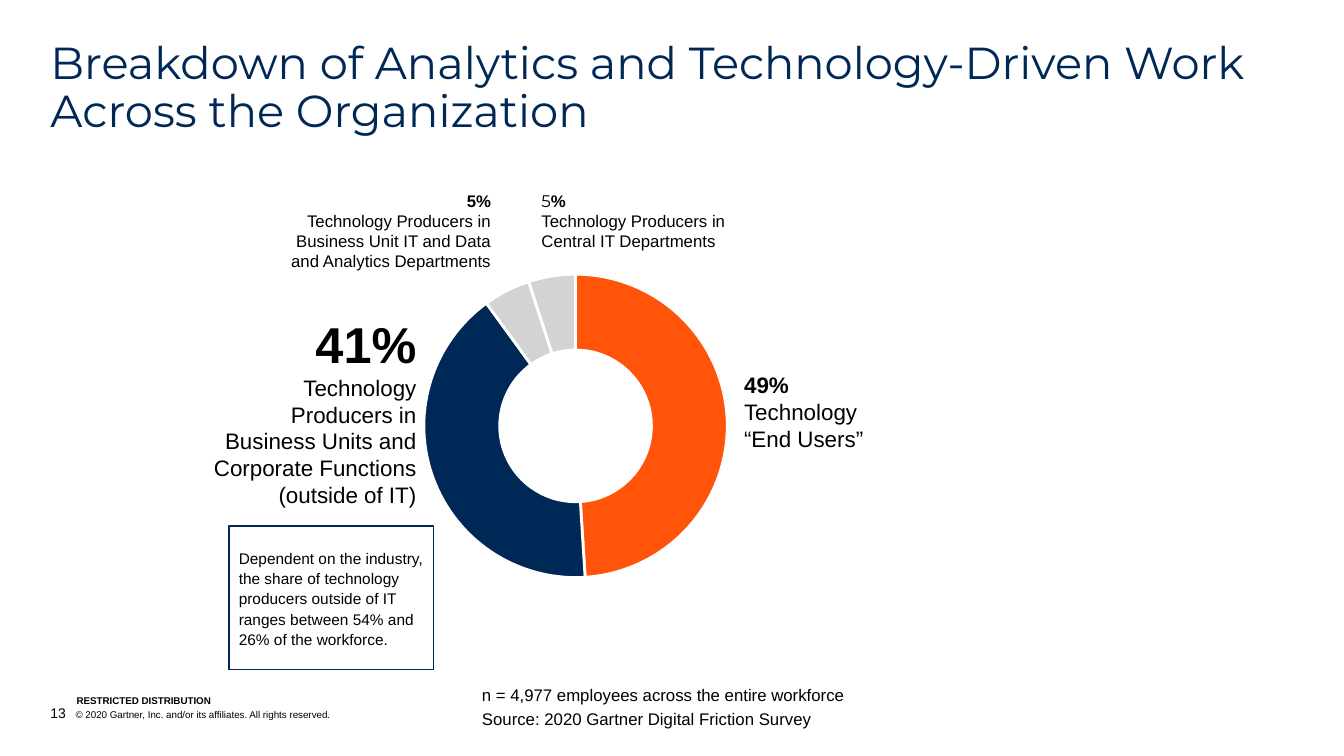
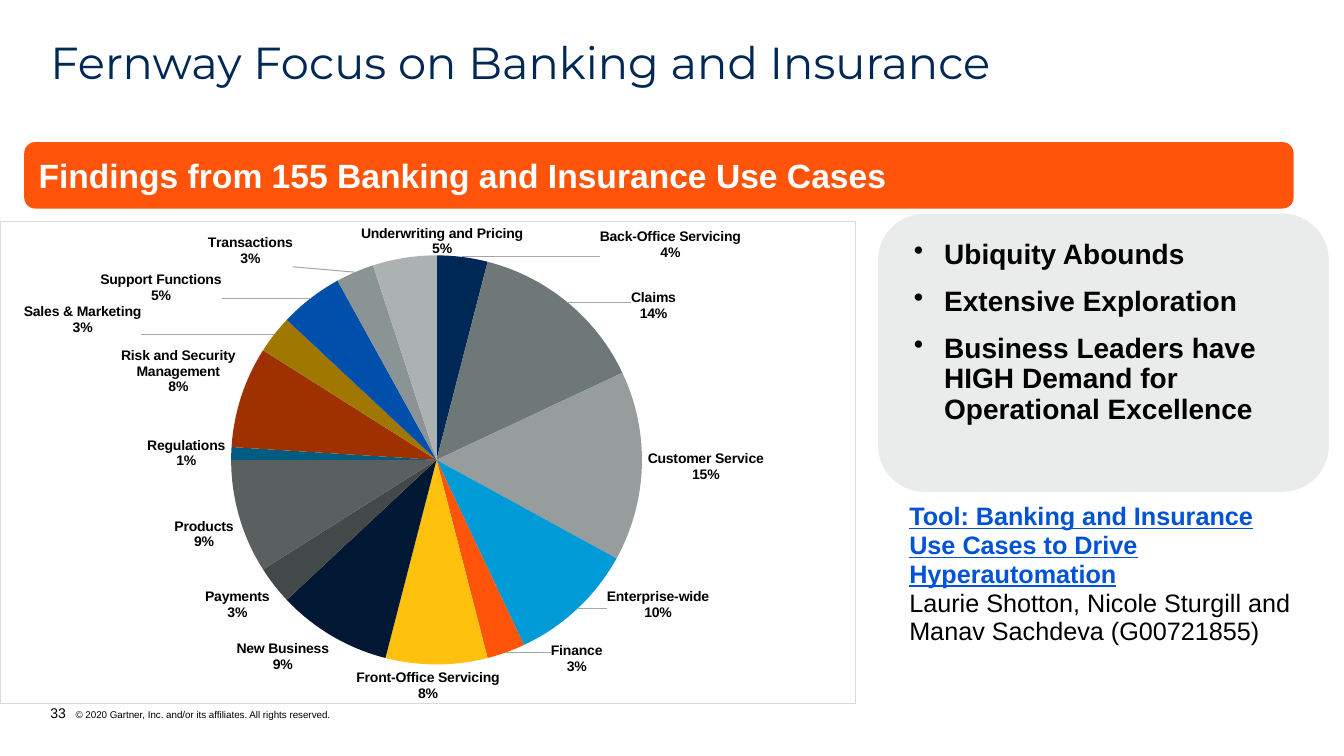
from copy import deepcopy

from lxml import etree
from pptx import Presentation
from pptx.chart.data import CategoryChartData
from pptx.dml.color import RGBColor
from pptx.enum.chart import XL_CHART_TYPE, XL_LABEL_POSITION
from pptx.enum.shapes import MSO_SHAPE
from pptx.enum.text import MSO_ANCHOR, PP_ALIGN
from pptx.oxml import parse_xml
from pptx.oxml.ns import nsdecls, qn
from pptx.util import Inches, Pt

NAVY = RGBColor(0x00, 0x28, 0x56)
ORANGE = RGBColor(0xFF, 0x54, 0x0A)
BLACK = RGBColor(0x00, 0x00, 0x00)
WHITE = RGBColor(0xFF, 0xFF, 0xFF)
PANEL_GRAY = RGBColor(0xEA, 0xEB, 0xEB)
LIGHT_GRAY = RGBColor(0xD3, 0xD3, 0xD3)
LINK_BLUE = RGBColor(0x00, 0x52, 0xD6)

BODY_FONT, TITLE_FONT, CHART_FONT = "Arial", "Montserrat", "Lato"
TOP, MIDDLE, BOTTOM = MSO_ANCHOR.TOP, MSO_ANCHOR.MIDDLE, MSO_ANCHOR.BOTTOM
RIGHT = PP_ALIGN.RIGHT
RECT, ROUNDED = MSO_SHAPE.RECTANGLE, MSO_SHAPE.ROUNDED_RECTANGLE
DOUGHNUT, PIE = XL_CHART_TYPE.DOUGHNUT, XL_CHART_TYPE.PIE
OUTSIDE_END = XL_LABEL_POSITION.OUTSIDE_END

NO_INSETS = (0, 0, 0, 0)
CALLOUT_INSETS = (0, 0.1, 0, 0.1)
LINE_BREAK = "\n"

WORKFORCE = [("1", 49, ORANGE), ("2", 41, NAVY), ("3", 5, LIGHT_GRAY), ("4", 5, LIGHT_GRAY)]

USE_CASES = [
    ("Back-Office Servicing", 4, NAVY),
    ("Claims", 14, RGBColor(0x6F, 0x78, 0x78)),
    ("Customer Service", 15, RGBColor(0x97, 0x9D, 0x9D)),
    ("Enterprise-wide", 10, RGBColor(0x00, 0x9A, 0xD7)),
    ("Finance", 3, ORANGE),
    ("Front-Office Servicing", 8, RGBColor(0xFE, 0xC1, 0x0D)),
    ("New Business", 9, RGBColor(0x00, 0x18, 0x34)),
    ("Payments", 3, RGBColor(0x43, 0x48, 0x48)),
    ("Products", 9, RGBColor(0x5A, 0x5F, 0x5F)),
    ("Regulations", 1, RGBColor(0x00, 0x5C, 0x81)),
    ("Risk and Security Management", 8, RGBColor(0x9F, 0x30, 0x00)),
    ("Sales & Marketing", 3, RGBColor(0xA0, 0x77, 0x01)),
    ("Support Functions", 5, RGBColor(0x00, 0x4F, 0xAB)),
    ("Transactions", 3, RGBColor(0x8B, 0x94, 0x94)),
    ("Underwriting and Pricing", 5, RGBColor(0xAC, 0xB1, 0xB1)),
]

# Shift of a label from its usual place, as fractions of the chart's size
LABEL_SHIFTS = {
    "Back-Office Servicing": (0.16, 0.02),
    "Claims": (0.07, 0.05),
    "Enterprise-wide": (0.03, -0.05),
    "Finance": (0.05, -0.03),
    "Front-Office Servicing": (-0.01, 0),
    "Sales & Marketing": (-0.15, 0.01),
    "Support Functions": (-0.1, 0.02),
    "Transactions": (-0.07, 0),
    "Underwriting and Pricing": (0.14, 0.01),
}


def apply_formats(target, formats):
    for name, value in formats.items():
        setattr(target, name, value)


def style_font(font, size, color=BLACK, name=BODY_FONT, **formats):
    apply_formats(font, {"size": Pt(size), "name": name, **formats})
    font.color.rgb = color


def run(text, size, **formats):
    return text, {"size": size, **formats}


def para(*runs, hanging=None, bullet=None, **formats):
    """Describe a paragraph; hanging is (margin, indent) in inches."""
    return runs, hanging, bullet, formats


def fill_text(frame, paragraphs, insets, anchor):
    sides = ("margin_left", "margin_top", "margin_right", "margin_bottom")
    apply_formats(frame, dict(zip(sides, map(Inches, insets))))
    apply_formats(frame, {"word_wrap": True, "vertical_anchor": anchor})
    for index, (runs, hanging, bullet, formats) in enumerate(paragraphs):
        paragraph = frame.add_paragraph() if index else frame.paragraphs[0]
        apply_formats(paragraph, {"alignment": PP_ALIGN.LEFT, **formats})
        properties = paragraph._p.get_or_add_pPr()
        if hanging:
            for name, length in zip(("marL", "indent"), hanging):
                properties.set(name, str(Inches(length)))
        if bullet:
            etree.SubElement(properties, qn("a:buChar")).set("char", bullet)
        for text, font_formats in runs:
            if text == LINE_BREAK:
                paragraph.add_line_break()
                continue
            piece = paragraph.add_run()
            piece.text = text
            style_font(piece.font, **font_formats)


def add_text(slide, box, *paragraphs, insets=NO_INSETS, anchor=TOP):
    textbox = slide.shapes.add_textbox(*map(Inches, box))
    fill_text(textbox.text_frame, paragraphs, insets, anchor)


def add_panel(slide, kind, box, fill, *paragraphs, insets, anchor=MIDDLE, outline=None):
    panel = slide.shapes.add_shape(kind, *map(Inches, box))
    panel.shadow.inherit = False
    panel.fill.solid()
    panel.fill.fore_color.rgb = fill
    if outline:
        panel.line.color.rgb = outline
        panel.line.width = Pt(1)
    else:
        panel.line.fill.background()
    fill_text(panel.text_frame, paragraphs, insets, anchor)


def layout_xml(**values):
    parts = "".join(f'<c:{tag} val="{value}"/>' for tag, value in values.items())
    return parse_xml(
        f'<c:layout {nsdecls("c")}><c:manualLayout>{parts}</c:manualLayout></c:layout>')


def line_xml(color, width):
    return (f'<a:ln w="{Pt(width)}"><a:solidFill><a:srgbClr val="{color}"/>'
            "</a:solidFill></a:ln>")


def add_round_chart(slide, kind, box, plot_box, shares, font_name, font_size):
    """Add a pie or doughnut whose shares are (category, value, colour)."""
    data = CategoryChartData()
    data.categories = [category for category, _, _ in shares]
    data.add_series("Series 1", [value for _, value, _ in shares])
    chart = slide.shapes.add_chart(kind, *map(Inches, box), data).chart
    apply_formats(chart, {"has_legend": False, "has_title": False})
    style_font(chart.font, font_size, name=font_name)
    plot = chart.plots[0]
    plot.vary_by_categories = True
    for index, (_, _, color) in enumerate(shares):
        fill = plot.series[0].points[index].format.fill
        fill.solid()
        fill.fore_color.rgb = color

    plot_area = chart._chartSpace.chart.plotArea
    for layout in plot_area.findall(qn("c:layout")):
        plot_area.remove(layout)
    x, y, width, height = plot_box
    plot_area.insert(0, layout_xml(
        layoutTarget="inner", xMode="edge", yMode="edge", x=x, y=y, w=width, h=height))
    return chart


def frame_chart(chart):
    chart._chartSpace.chart.addnext(parse_xml(
        f'<c:spPr {nsdecls("c", "a")}><a:solidFill><a:srgbClr val="FFFFFF"/>'
        f'</a:solidFill>{line_xml("D9D9D9", 0.75)}</c:spPr>'))


def label_shares(series, shares, shifts):
    """Label each slice with category and percent, moving those in shifts."""
    labels = series.data_labels
    apply_formats(labels, {
        "show_value": False, "show_category_name": True, "show_percentage": True,
        "number_format": "0%", "number_format_is_linked": False, "position": OUTSIDE_END})
    style_font(labels.font, 10, bold=True)

    element = labels._element
    for tag in ("c:showLeaderLines", "c:leaderLines"):
        for old in element.findall(qn(tag)):
            element.remove(old)
    etree.SubElement(element, qn("c:separator")).text = "\n"
    shared = list(element)
    etree.SubElement(element, qn("c:showLeaderLines")).set("val", "1")
    element.append(parse_xml(
        f'<c:leaderLines {nsdecls("c", "a")}><c:spPr>{line_xml("A6A6A6", 0.75)}'
        "</c:spPr></c:leaderLines>"))

    moved = [(index, shifts[category]) for index, (category, _, _) in enumerate(shares)
             if category in shifts]
    for position, (index, (x, y)) in enumerate(moved):
        label = parse_xml(f'<c:dLbl {nsdecls("c")}><c:idx val="{index}"/></c:dLbl>')
        label.append(layout_xml(x=x, y=y))
        label.extend(deepcopy(shared))
        element.insert(position, label)


def start_slide(deck, title, number):
    """Add a blank slide with the shared title and footer."""
    slide = deck.slides.add_slide(deck.slide_layouts[6])
    add_text(slide, (0.5, 0.4, 12.33, 0.49),
             para(run(title, 32, color=NAVY, name=TITLE_FONT), line_spacing=0.9))
    add_text(slide, (0.5, 6.99, 7.99, 0.17),
             para(run(number, 10),
                  run("\t© 2020 Gartner, Inc. and/or its affiliates. All rights reserved.", 7),
                  hanging=(0.25, -0.25)),
             anchor=BOTTOM)
    return slide


def add_callout(slide, box, percent_runs, lines, size, align=PP_ALIGN.LEFT, anchor=TOP):
    add_text(slide, box, para(*percent_runs, alignment=align),
             *(para(run(line, size), alignment=align) for line in lines),
             insets=CALLOUT_INSETS, anchor=anchor)


def build_workforce_slide(deck):
    slide = start_slide(
        deck, "Breakdown of Analytics and Technology-Driven Work Across the Organization", "13")
    add_text(slide, (0.76, 6.9, 2.53, 0.11),
             para(run("RESTRICTED DISTRIBUTION", 7, bold=True), line_spacing=0.9),
             anchor=BOTTOM)
    add_text(slide, (4.78, 6.68, 3.78, 0.55),
             para(run("n = 4,977 employees across the entire workforce", 12)),
             para(run("Source: 2020 Gartner Digital Friction Survey", 12), space_before=Pt(3)),
             insets=(0, 0.1, 0, 0), anchor=BOTTOM)

    chart = add_round_chart(slide, DOUGHNUT, (3, 2.61, 6.02, 3.2), (0.2, 0.03, 0.5, 0.95),
                            WORKFORCE, CHART_FONT, 14)
    for index in range(len(WORKFORCE)):
        border = chart.plots[0].series[0].points[index].format.line
        border.color.rgb = WHITE
        border.width = Pt(2)

    add_callout(slide, (7.38, 3.58, 1.51, 1.01), [run("49%", 16, bold=True)],
                ["Technology “End Users”"], 16, anchor=MIDDLE)
    add_callout(slide, (2.06, 3, 2.07, 2.15), [run("41%", 36, bold=True)],
                ["Technology Producers in Business Units and Corporate Functions",
                 "(outside of IT)"], 16, align=RIGHT, anchor=MIDDLE)
    add_callout(slide, (2.72, 1.79, 2.15, 1.01), [run("5%", 12, bold=True)],
                ["Technology Producers in Business Unit IT and Data and Analytics Departments"],
                12, align=RIGHT)
    add_callout(slide, (5.37, 1.79, 2.01, 0.81),
                [run("5", 12, name=TITLE_FONT), run("%", 12, bold=True)],
                ["Technology Producers in Central IT Departments"], 12)
    add_panel(slide, RECT, (2.27, 5.22, 2.03, 1.42), WHITE,
              para(run("Dependent on the industry, the share of technology producers outside "
                       "of IT ranges between 54% and 26% of the workforce.", 11),
                   line_spacing=1.1),
              insets=(0.1, 0.1, 0.1, 0.1), outline=NAVY)


def build_use_case_slide(deck):
    slide = start_slide(deck, "Fernway Focus on Banking and Insurance", "33")
    add_panel(slide, ROUNDED, (0.24, 1.41, 12.59, 0.66), ORANGE,
              para(run("Findings from 155 Banking and Insurance Use Cases", 24,
                       color=WHITE, bold=True)),
              insets=(0.11, 0, 0, 0))

    chart = add_round_chart(slide, PIE, (0, 2.18, 8.49, 4.8), (0.2, 0.07, 0.62, 0.85),
                            USE_CASES, BODY_FONT, 10)
    frame_chart(chart)
    label_shares(chart.plots[0].series[0], USE_CASES, LABEL_SHIFTS)

    findings = ["Ubiquity Abounds", "Extensive Exploration",
                "Business Leaders have HIGH Demand for Operational Excellence"]
    add_panel(slide, ROUNDED, (8.71, 2.12, 4.47, 2.76), PANEL_GRAY,
              *(para(run(finding, 20, bold=True), hanging=(0.52, -0.3), bullet="•",
                     line_spacing=0.9, space_before=Pt(12 if index else 0))
                for index, finding in enumerate(findings)),
              insets=(0, 0.13, 0.22, 0), anchor=TOP)
    add_text(slide, (8.92, 4.94, 4.05, 1.54),
             para(run("Tool: Banking and Insurance Use Cases to Drive Hyperautomation", 18,
                      color=LINK_BLUE, bold=True, underline=True),
                  run(LINE_BREAK, 18),
                  run("Laurie Shotton, Nicole Sturgill and Manav Sachdeva (G00721855)", 18),
                  line_spacing=0.95),
             insets=(0.1, 0.05, 0.1, 0.05))


def main():
    deck = Presentation()
    deck.slide_width, deck.slide_height = Inches(13.33), Inches(7.5)
    build_workforce_slide(deck)
    build_use_case_slide(deck)
    deck.save("out.pptx")


if __name__ == "__main__":
    main()
